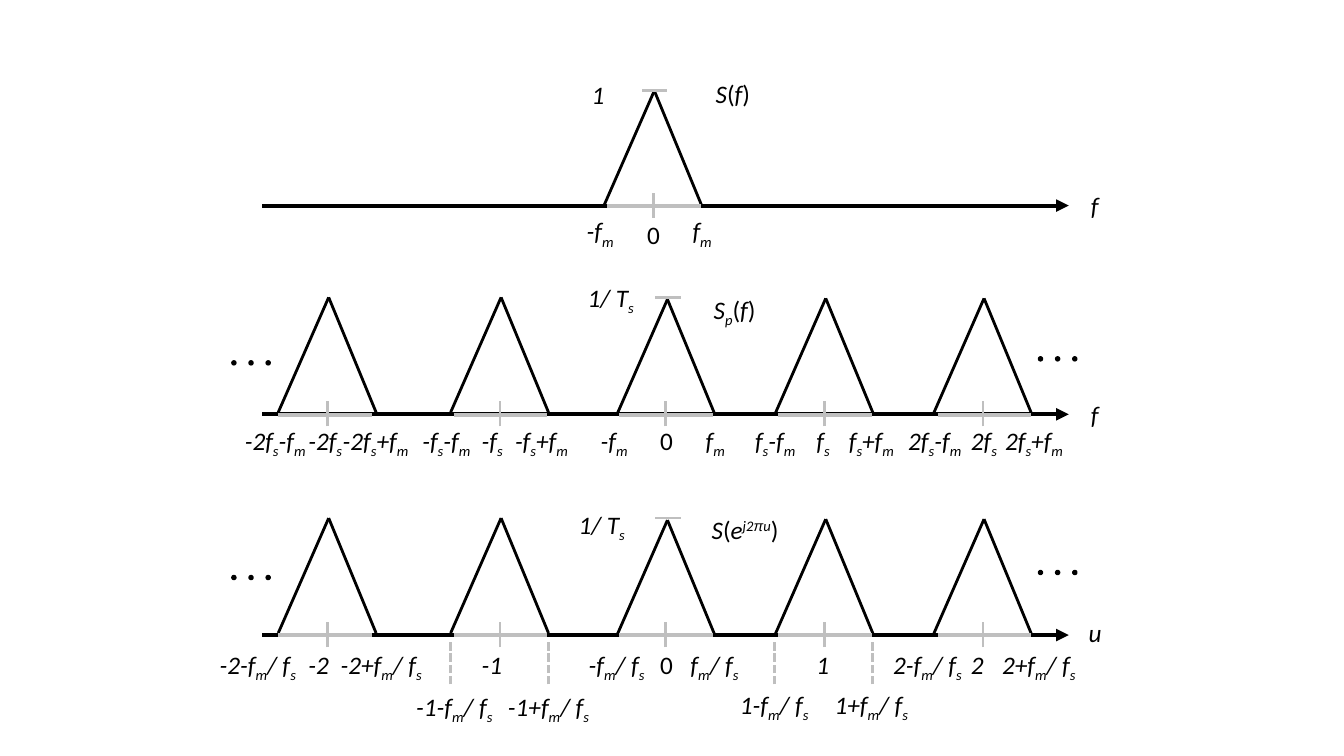
from lxml import etree
from pptx import Presentation
from pptx.dml.color import RGBColor
from pptx.enum.dml import MSO_LINE
from pptx.enum.shapes import MSO_CONNECTOR, MSO_SHAPE
from pptx.enum.text import MSO_AUTO_SIZE
from pptx.oxml.ns import qn
from pptx.util import Inches, Pt

STRAIGHT = MSO_CONNECTOR.STRAIGHT
OVAL = MSO_SHAPE.OVAL
DASH = MSO_LINE.SQUARE_DOT
GROW = MSO_AUTO_SIZE.SHAPE_TO_FIT_TEXT
COLORS = {"signal": "000000", "mark": "BFBFBF"}
BASELINES = {"_": "-25000", "^": "30000"}


def add_line(group, start, end, color="signal", width=2, arrow=False, dashed=False):
    """Draw a straight line between two points given in inches."""
    line = group.shapes.add_connector(STRAIGHT, *map(Inches, start + end))
    line.line.color.rgb = RGBColor.from_string(COLORS[color])
    line.line.width = Pt(width)
    if dashed:
        line.line.dash_style = DASH
    if arrow:
        etree.SubElement(line.line._get_or_add_ln(), qn("a:tailEnd"), type="triangle")
    etree.SubElement(line._element.spPr, qn("a:effectLst"))


def add_label(group, left, top, width, formula, wrap=False):
    """Write pieces split by |; a leading _ lowers, ^ raises, = sets upright."""
    box = group.shapes.add_textbox(*map(Inches, (left, top, width, 0.4)))
    frame = box.text_frame
    frame.word_wrap = wrap
    frame.auto_size = GROW
    paragraph = frame.paragraphs[0]
    paragraph.font.size = Pt(18)
    paragraph.font.color.rgb = RGBColor.from_string(COLORS["signal"])
    for piece in formula.split("|"):
        run = paragraph.add_run()
        run.text = piece.lstrip("_^=")
        run.font.name = "Arial" if run.text == "π" else "Calibri"
        run.font.italic = piece[0] != "="
        if piece[0] in BASELINES:
            run.font._element.set("baseline", BASELINES[piece[0]])


# Each pulse: apex x, lift of its feet above the axis, tick x, left end of its base
BASEBAND = [(6.49, 0, 6.48, 6.02)]
REPEATS = [
    (3.26, 0.02, 3.25, 2.76),
    (4.97, 0.02, 4.96, 4.5),
    (6.62, 0, 6.6, 6.14),
    (8.19, 0.01, 8.18, 7.72),
    (9.76, 0.01, 9.75, 9.3),
]

# Labels are (left, top, width, formula); tick labels are (left, width, formula)
spectra = [
    {
        "axis": 2.04, "pulses": BASEBAND, "base": 2.04, "peak": (6.37, 0.9),
        "dots": [], "guides": [],
        "ticks": (2.13, [(6.32, 0.34, "=0")]),
        "labels": [
            (10.72, 1.84, 0.28, "f"), (7, 0.73, 0.57, "S|=(|f|=)"),
            (5.77, 0.74, 0.33, "1"),
            (5.72, 2.09, 0.49, "-f|_m"), (6.77, 2.09, 0.41, "f|_m"),
        ],
    },
    {
        "axis": 4.11, "pulses": REPEATS, "base": 4.12, "peak": (6.5, 2.95),
        "dots": [(2.3, 3.58), (10.3, 3.54)], "guides": [],
        "ticks": (4.17, [
            (2.96, 0.6, "-2f|_s"), (4.68, 0.47, "-f|_s"), (6.45, 0.34, "=0"),
            (8, 0.34, "f|_s"), (9.53, 0.49, "2f|_s"),
        ]),
        "labels": [
            (10.72, 3.91, 0.28, "f"), (6.98, 2.87, 0.65, "S|_p|=(|f|=)"),
            (5.73, 2.75, 0.66, "1/ T|_s"),
            (2.33, 4.17, 0.84, "-2f|_s|-f|_m"), (3.3, 4.17, 0.88, "-2f|_s|+f|_m"),
            (4.09, 4.17, 0.71, "-f|_s|-f|_m"), (5.01, 4.17, 0.76, "-f|_s|+f|_m"),
            (5.86, 4.17, 0.49, "-f|_m"), (6.9, 4.17, 0.41, "f|_m"),
            (7.39, 4.17, 0.63, "f|_s|-f|_m"), (8.32, 4.17, 0.68, "f|_s|+f|_m"),
            (8.91, 4.17, 0.76, "2f|_s|-f|_m"), (9.87, 4.17, 0.81, "2f|_s|+f|_m"),
        ],
    },
    {
        "axis": 6.3, "pulses": REPEATS, "base": 6.3, "peak": (6.5, 5.14),
        "dots": [(2.3, 5.71), (10.3, 5.66)], "guides": [4.47, 5.44, 7.68, 8.65],
        "ticks": (6.39, [
            (2.96, 0.6, "-2"), (4.68, 0.47, "-1"), (6.45, 0.34, "=0"),
            (8, 0.34, "1"), (9.53, 0.49, "2"),
        ]),
        "labels": [
            (10.7, 6.08, 0.33, "u"), (6.96, 5.05, 0.9, "S|=(|e|^j2|^π|^u|=)"),
            (5.64, 5, 0.66, "1/ T|_s"),
            (2.08, 6.39, 0.99, "-2-f|_m|/ f|_s"), (3.28, 6.39, 1.04, "-2+f|_m|/ f|_s"),
            (4.03, 6.81, 0.99, "-1-f|_m|/ f|_s"), (4.94, 6.81, 1.04, "-1+f|_m|/ f|_s"),
            (5.74, 6.39, 0.79, "-f|_m|/ f|_s"), (6.75, 6.39, 0.71, "f|_m|/ f|_s"),
            (7.24, 6.79, 0.91, "1-f|_m|/ f|_s"), (8.18, 6.79, 0.96, "1+f|_m|/ f|_s"),
            (8.76, 6.39, 0.91, "2-f|_m|/ f|_s"), (9.84, 6.39, 0.96, "2+f|_m|/ f|_s"),
        ],
    },
]

prs = Presentation()
prs.slide_width, prs.slide_height = Inches(13.33), Inches(7.5)
slide = prs.slides.add_slide(prs.slide_layouts[6])

for spectrum in spectra:
    group = slide.shapes.add_group_shape()
    axis = spectrum["axis"]
    add_line(group, (2.6, axis), (10.6, axis), width=3, arrow=True)

    for apex, lift, tick, base_left in spectrum["pulses"]:
        foot = axis - lift
        for reach in (-0.5, 0.47):
            add_line(group, (apex + reach, foot), (apex, foot - 1.14))
        add_line(group, (tick, axis + 0.12), (tick, axis - 0.13), "mark")
    for apex, lift, tick, base_left in spectrum["pulses"]:
        base = spectrum["base"]
        add_line(group, (base_left, base), (base_left + 0.93, base), "mark", 3)

    peak_left, peak_top = spectrum["peak"]
    add_line(group, (peak_left, peak_top), (peak_left + 0.25, peak_top), "mark")
    for guide in spectrum["guides"]:
        add_line(group, (guide, 6.79), (guide, 6.35), "mark", dashed=True)

    for dots_left, dots_top in spectrum["dots"]:
        for index in range(3):
            dot = group.shapes.add_shape(
                OVAL, Inches(dots_left + 0.17 * index), Inches(dots_top),
                Inches(0.04), Inches(0.04))
            dot.shadow.inherit = False
            dot.fill.solid()
            dot.fill.fore_color.rgb = RGBColor.from_string(COLORS["signal"])
            dot.line.color.rgb = RGBColor.from_string(COLORS["signal"])
            dot.line.width = Pt(1)

    tick_top, tick_labels = spectrum["ticks"]
    for left, width, formula in tick_labels:
        add_label(group, left, tick_top, width, formula, wrap=True)
    for label in spectrum["labels"]:
        add_label(group, *label)

prs.save("out.pptx")
